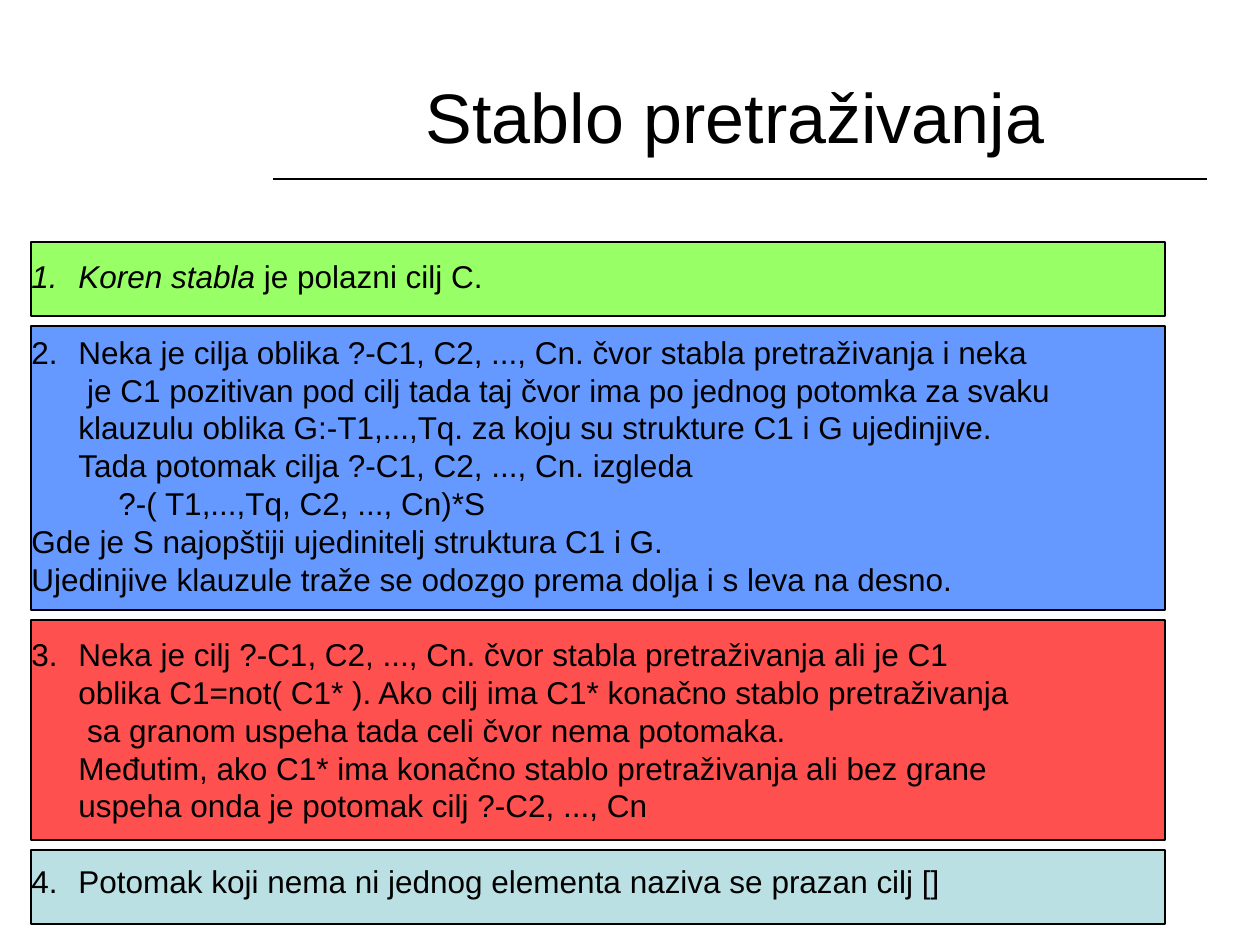
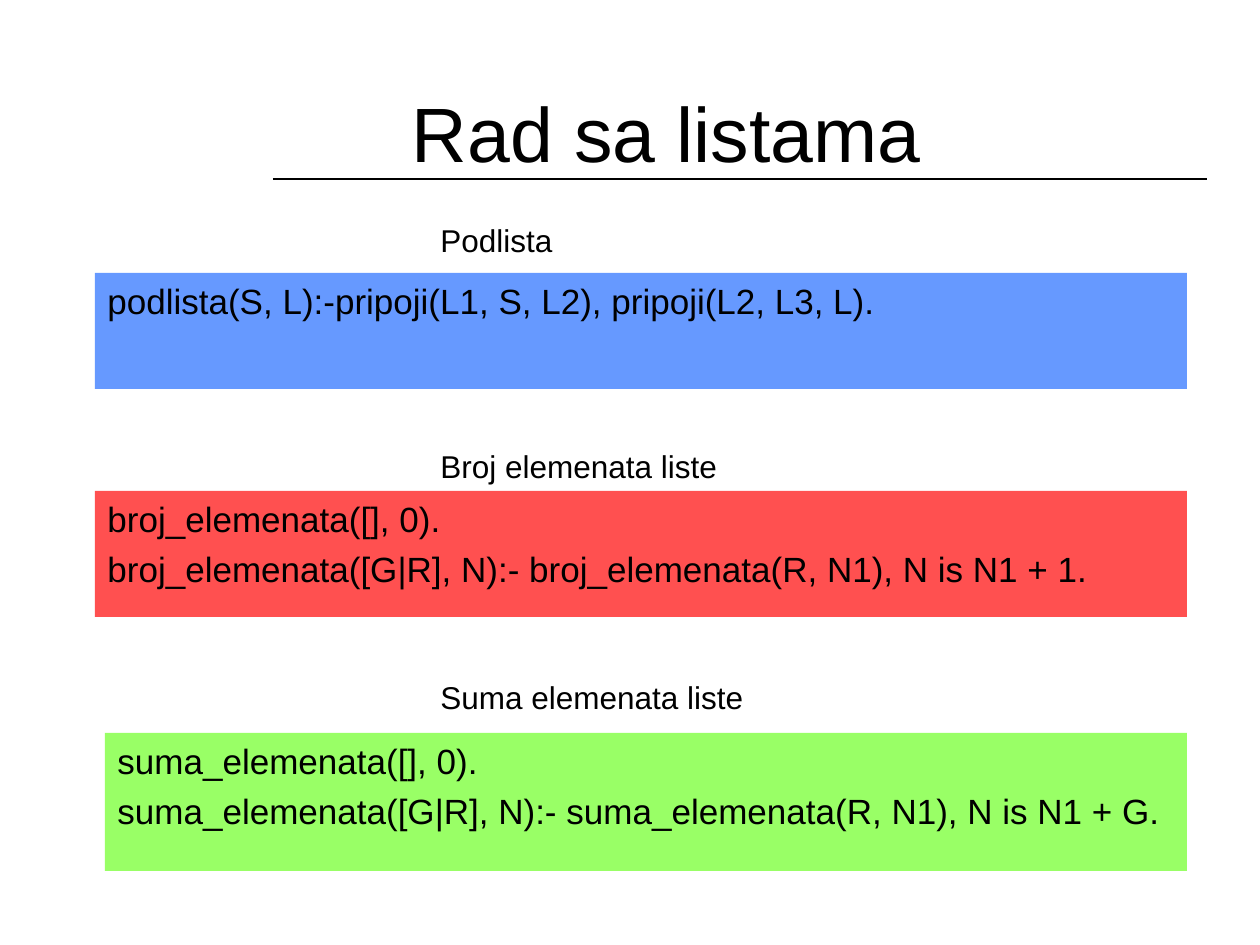
import pptx
import pptx.dml.color
import pptx.enum.shapes
import pptx.enum.text
import pptx.oxml.ns
import pptx.util
from lxml import etree

PX = 914400 / 126
FONT = "Arial"
COLORS = {
    "black": "000000",
    "green": "99FF66",
    "blue": "6699FF",
    "red": "FF5050",
    "teal": "BBE0E3",
}
HANG = 47


def px(n):
    return pptx.util.Emu(round(n * PX))


def rgb(name):
    return pptx.dml.color.RGBColor.from_string(COLORS[name])


class Deck:
    def __init__(self):
        self.prs = pptx.Presentation()
        self.prs.slide_width, self.prs.slide_height = px(1260), px(945)
        self.s = None

    def slide(self, title, box, size):
        """Start a slide with its centred title and the rule below it."""
        self.s = self.prs.slides.add_slide(self.prs.slide_layouts[6])
        tf = self.textbox(*box)
        tf.vertical_anchor = pptx.enum.text.MSO_ANCHOR.MIDDLE
        p = self.paragraph(tf, [(title, False)], size)
        p.alignment = pptx.enum.text.PP_ALIGN.CENTER
        self.rule(273, 179, 1207)

    def rule(self, x1, y, x2):
        line = self.s.shapes.add_connector(
            pptx.enum.shapes.MSO_CONNECTOR.STRAIGHT, px(x1), px(y), px(x2), px(y))
        line.line.color.rgb = rgb("black")
        line.line.width = pptx.util.Pt(0.75)
        etree.SubElement(line._element.spPr, pptx.oxml.ns.qn("a:effectLst"))

    def rect(self, x, y, w, h, color, outline=False):
        sp = self.s.shapes.add_shape(
            pptx.enum.shapes.MSO_SHAPE.RECTANGLE, px(x), px(y), px(w), px(h))
        sp.shadow.inherit = False
        sp.fill.solid()
        sp.fill.fore_color.rgb = rgb(color)
        if outline:
            sp.line.color.rgb = rgb("black")
            sp.line.width = pptx.util.Pt(0.75)
        else:
            sp.line.fill.background()
        sp.text_frame.vertical_anchor = pptx.enum.text.MSO_ANCHOR.TOP
        return sp.text_frame

    def textbox(self, x, y, w, h):
        tf = self.s.shapes.add_textbox(px(x), px(y), px(w), px(h)).text_frame
        tf.word_wrap = True
        return tf

    def paragraph(self, tf, runs, size, before=0, after=0, left=0, indent=0, number=None):
        """Add (text, italic) runs; a newline breaks the line, number starts a list."""
        p = tf.paragraphs[0]
        if p.runs:
            p = tf.add_paragraph()
        p.alignment = pptx.enum.text.PP_ALIGN.LEFT
        p.line_spacing = pptx.util.Pt(size * 1.2)
        p.space_before = pptx.util.Pt(before)
        p.space_after = pptx.util.Pt(after)
        pPr = p._p.get_or_add_pPr()
        pPr.set("marL", str(px(left)))
        pPr.set("indent", str(px(indent)))
        if number:
            bu = etree.SubElement(pPr, pptx.oxml.ns.qn("a:buAutoNum"), type="arabicPeriod")
            if number > 1:
                bu.set("startAt", str(number))
        for text, italic in runs:
            for i, line in enumerate(text.split("\n")):
                if i:
                    p.add_line_break()
                r = p.add_run()
                r.text = line
                r.font.name = FONT
                r.font.size = pptx.util.Pt(size)
                r.font.italic = italic
                r.font.color.rgb = rgb("black")
        return p

    def code(self, box, color, lines):
        tf = self.rect(*box, color)
        for line in lines:
            self.paragraph(tf, [(line, False)], 20, before=5, left=HANG, indent=-HANG)

    def label(self, x, y, text):
        self.paragraph(self.textbox(x, y, 381, 50), [(text, False)], 18)


def search_tree(deck):
    deck.slide("Stablo pretraživanja", (273, 53, 924, 126), 40)
    y = 242
    for color, h in (("green", 74), ("blue", 284), ("red", 220), ("teal", 74)):
        deck.rect(31, y, 1134, h, color, outline=True)
        y += h + 10

    item = {"left": HANG, "indent": -HANG}
    gap = {"after": 21.6}
    rules = [
        ([("Koren stabla", True), (" je polazni cilj C.", False)], item | gap | {"number": 1}),
        ([("Neka je cilja oblika ?-C1, C2, ..., Cn. čvor stabla pretraživanja i neka\n"
           " je C1 pozitivan pod cilj tada taj čvor ima po jednog potomka za svaku\n"
           "klauzulu oblika G:-T1,...,Tq. za koju su strukture C1 i G ujedinjive.\n"
           "Tada potomak cilja ?-C1, C2, ..., Cn. izgleda", False)], item | {"number": 1}),
        ([("?-( T1,...,Tq, C2, ..., Cn)*S", False)], {"left": 87}),
        ([("Gde je S najopštiji ujedinitelj struktura C1 i G.", False)], item),
        ([("Ujedinjive klauzule traže se odozgo prema dolja i s leva na desno.", False)],
         item | gap),
        ([("Neka je cilj ?-C1, C2, ..., Cn. čvor stabla pretraživanja ali je C1\n"
           "oblika C1=not( C1* ). Ako cilj ima C1* konačno stablo pretraživanja\n"
           " sa granom uspeha tada celi čvor nema potomaka.\n"
           "Međutim, ako C1* ima konačno stablo pretraživanja ali bez grane\n"
           "uspeha onda je potomak cilj ?-C2, ..., Cn", False)], item | gap | {"number": 3}),
        ([("Potomak koji nema ni jednog elementa naziva se prazan cilj []", False)],
         item | {"number": 3}),
    ]
    tf = deck.textbox(19, 251, 1052, 693)
    for runs, style in rules:
        deck.paragraph(tf, runs, 18, **style)


def lists(deck):
    deck.slide("Rad sa listama", (315, 53, 703, 158), 44)
    predicates = [
        ("Podlista", 215, (95, 273, 1092, 116), "blue",
         ["podlista(S, L):-pripoji(L1, S, L2), pripoji(L2, L3, L)."]),
        ("Broj elemenata liste", 441, (95, 491, 1092, 126), "red",
         ["broj_elemenata([], 0).",
          "broj_elemenata([G|R], N):- broj_elemenata(R, N1), N is N1 + 1."]),
        ("Suma elemenata liste", 672, (105, 733, 1082, 138), "green",
         ["suma_elemenata([], 0).",
          "suma_elemenata([G|R], N):- suma_elemenata(R, N1), N is N1 + G."]),
    ]
    for name, y, box, color, lines in predicates:
        deck.code(box, color, lines)
        deck.label(428, y, name)


def main():
    deck = Deck()
    search_tree(deck)
    lists(deck)
    deck.prs.save("out.pptx")


if __name__ == "__main__":
    main()
